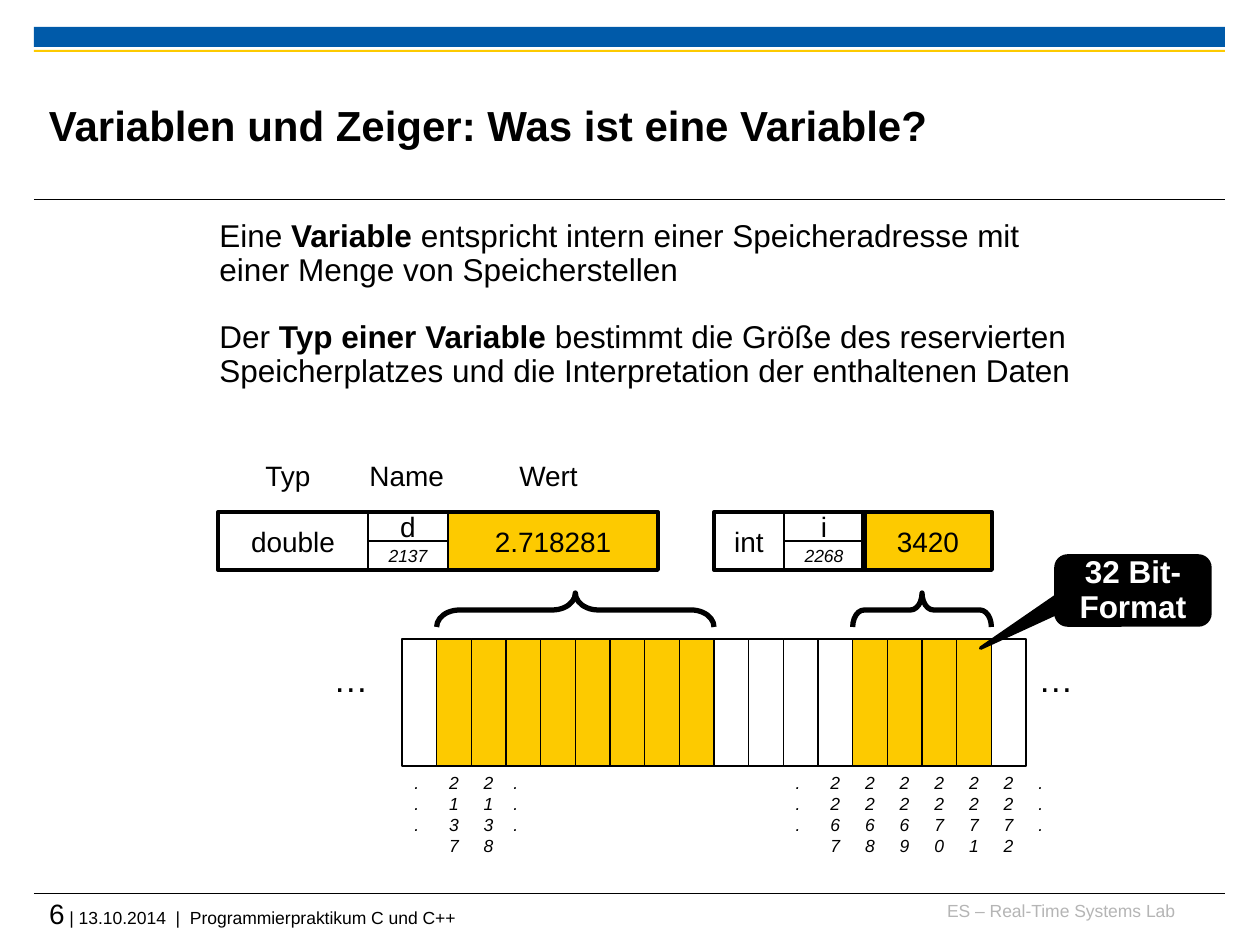
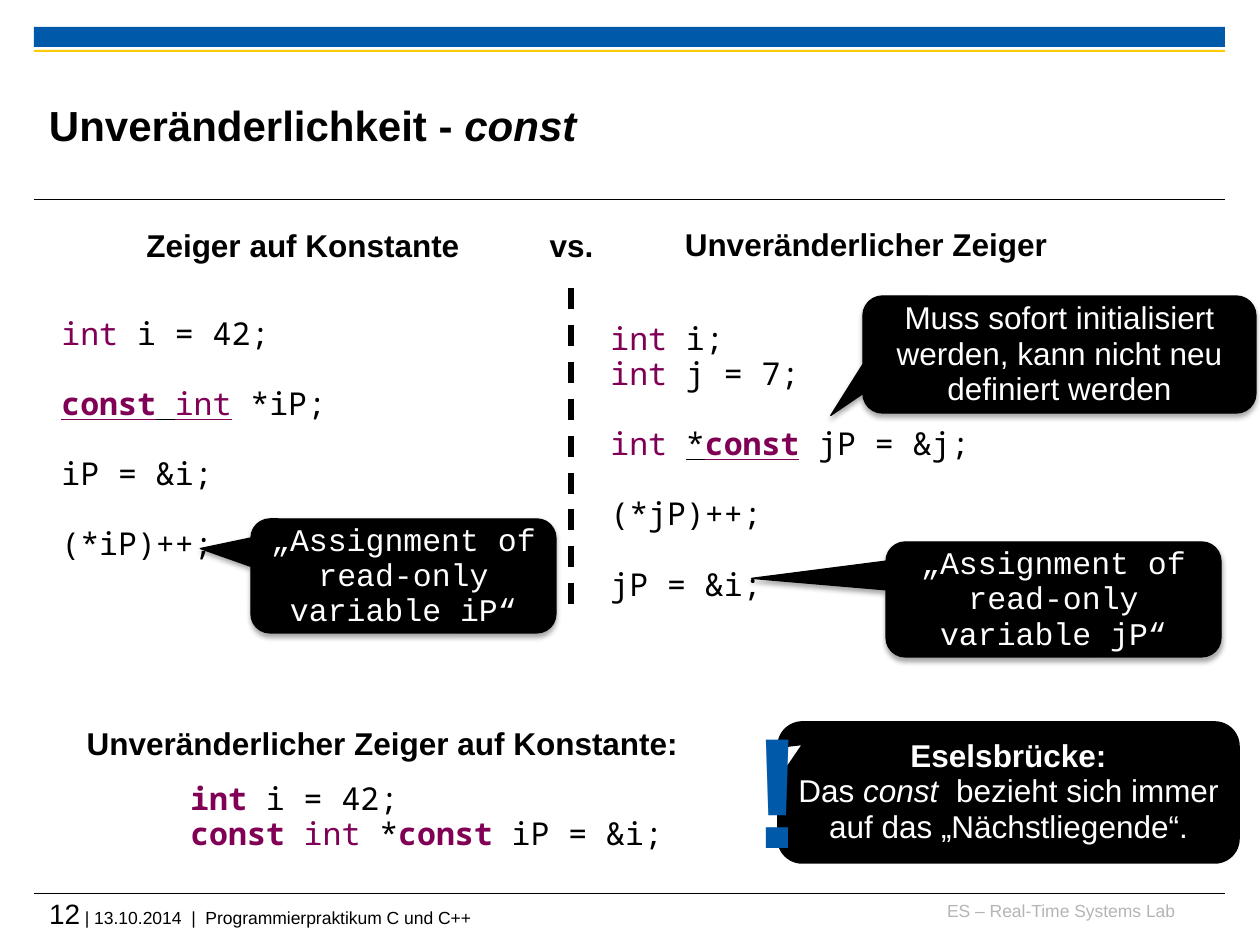
from dataclasses import dataclass

from lxml import etree
from pptx import Presentation
from pptx import util as u
from pptx.dml.color import RGBColor
from pptx.enum import dml, shapes, text
from pptx.oxml import ns


@dataclass(frozen=True)
class Theme:
    black: str = "000000"
    white: str = "FFFFFF"
    blue: str = "005AA9"
    yellow: str = "FDCA00"
    grey: str = "B5B5B5"
    keyword: str = "7F0055"
    sans: str = "Arial"
    code: str = "Noto Sans Mono"
    compiler: str = "Courier New"
    title: int = 24
    body: int = 18
    label: int = 16
    small: int = 10
    ellipsis: int = 20
    exclamation: int = 90
    hairline: float = 0.6
    thin: float = 0.75
    thick: int = 3
    tight: float = 0.93


T = Theme()
CENTER, RIGHT = text.PP_ALIGN.CENTER, text.PP_ALIGN.RIGHT
MIDDLE, TOP = text.MSO_ANCHOR.MIDDLE, text.MSO_ANCHOR.TOP
SHAPE = shapes.MSO_SHAPE
BOLD, ITALIC = {"bold": True}, {"italic": True}
KEY = {"color": T.keyword}
KEY_BOLD = KEY | BOLD
LINE = {"underline": True}


def px(value):
    return u.Emu(round(value * 914400 / 126))


# ---- Building parts ----

def write(shape, paragraphs, *, align=None, anchor=TOP, wrap=True, inset=None,
          spacing=None, gap=0, gap_before=(), **font):
    """Fill a shape; a paragraph is a string or a list of strings and (string, format)."""
    frame = shape.text_frame
    frame.word_wrap, frame.vertical_anchor = wrap, anchor
    if inset is not None:
        frame.margin_left = frame.margin_right = px(inset)
        frame.margin_top = frame.margin_bottom = px(inset)
    base = {"face": T.sans, "size": T.body, "color": T.black} | font
    for index, runs in enumerate(paragraphs):
        para = frame.paragraphs[0] if index == 0 else frame.add_paragraph()
        para.alignment = align
        if spacing:
            para.line_spacing = spacing
        if index in gap_before:
            para.space_before = u.Pt(gap)
        for part in [runs] if isinstance(runs, str) else runs:
            words, extra = (part, {}) if isinstance(part, str) else part
            style = base | extra
            run = para.add_run()
            run.text = words
            run.font.name, run.font.size = style["face"], u.Pt(style["size"])
            run.font.color.rgb = RGBColor.from_string(style["color"])
            run.font.bold = style.get("bold")
            run.font.italic = style.get("italic")
            run.font.underline = style.get("underline")


def label(slide, box, paragraphs, **fmt):
    write(slide.shapes.add_textbox(*map(px, box)), paragraphs, **fmt)


def block(slide, box, kind=SHAPE.RECTANGLE, fill=None, line=None, adjust=()):
    shape = slide.shapes.add_shape(kind, *map(px, box))
    shape.shadow.inherit = False
    if fill:
        shape.fill.solid()
        shape.fill.fore_color.rgb = RGBColor.from_string(fill)
    else:
        shape.fill.background()
    if line:
        shape.line.width = u.Pt(line)
        shape.line.color.rgb = RGBColor.from_string(T.black)
    else:
        shape.line.fill.background()
    for index, value in enumerate(adjust):
        shape.adjustments[index] = value
    return shape


def rule(slide, x1, y1, x2, y2, width, dash=None):
    line = slide.shapes.add_connector(shapes.MSO_CONNECTOR.STRAIGHT,
                                      *map(px, (x1, y1, x2, y2)))
    line.line.width = u.Pt(width)
    line.line.color.rgb = RGBColor.from_string(T.black)
    line.line.dash_style = dash
    etree.SubElement(line._element.spPr, ns.qn("a:effectLst"))


def callout(slide, box, tip, paragraphs, line=T.thin, shadow=False, **fmt):
    shape = block(slide, box, SHAPE.ROUNDED_RECTANGULAR_CALLOUT, T.black, line,
                  (*tip, 0.167))
    if shadow:
        effects = shape._element.spPr.find(ns.qn("a:effectLst"))
        outer = etree.SubElement(effects, ns.qn("a:outerShdw"), blurRad="39400",
                                 dist="22900", dir="5400000", rotWithShape="0")
        tone = etree.SubElement(outer, ns.qn("a:srgbClr"), val=T.black)
        etree.SubElement(tone, ns.qn("a:alpha"), val="35000")
    write(shape, paragraphs, align=CENTER, anchor=MIDDLE, spacing=T.tight,
          color=T.white, **fmt)


# ---- Shared slide frame ----

def lecture_slide(prs, number, title):
    slide = prs.slides.add_slide(prs.slide_layouts[6])
    left, width = 34, 1191
    block(slide, (left, 27, width, 20), fill=T.blue)
    block(slide, (left, 50, width, 2), fill=T.yellow)
    for y in (200, 894):
        rule(slide, left, y, left + width, y, T.hairline)
    label(slide, (49, 67, 948, 116), [title], anchor=MIDDLE, inset=0,
          size=T.title, bold=True)
    label(slide, (49, 897, 1176, 42),
          [[(str(number), {"size": T.label}),
            " | 13.10.2014  |  Programmierpraktikum C und C++"]],
          inset=0, size=T.small)
    label(slide, (927, 900, 248, 31), ["ES – Real-Time Systems Lab"],
          align=RIGHT, inset=0, size=T.small, color=T.grey)
    return slide


# ---- Slide: what a variable is ----

def variable_box(slide, box, widths, words, divider):
    """Type, name over address, and value inside one frame."""
    left, top, width, height = box
    type_w, name_w = widths
    name_x, value_x = left + type_w, left + type_w + name_w
    half = height / 2
    kind, name, address, value = words
    fields = [
        (kind, (left, top, type_w, height), T.white, {}),
        (name, (name_x, top, name_w, half), T.white, {}),
        (address, (name_x, top + half, name_w, half), T.white,
         {"size": T.small, "italic": True}),
        (value, (value_x, top, left + width - value_x, height), T.yellow, {}),
    ]
    for content, place, fill, fmt in fields:
        field = block(slide, place, fill=fill, line=T.thin)
        write(field, [content], align=CENTER, anchor=MIDDLE, wrap=False,
              **({"size": T.label} | fmt))
    rule(slide, value_x, top, value_x, top + height, divider)
    block(slide, box, line=2.25)


def memory_strip(slide, box):
    """Row of memory cells with braces above and addresses below."""
    left, top, width, height = box
    count = 18
    pitch = width / count
    stored = {"double": range(1, 9), "int": range(13, 17)}
    used = {cell for cells in stored.values() for cell in cells}
    for cell in range(count):
        block(slide, (left + cell * pitch, top, pitch, height),
              fill=T.yellow if cell in used else T.white, line=T.thin)

    # A left brace turned by 90 degrees spans each variable
    depth = 34
    for cells, bend in zip(stored.values(), (0.673, 0.337)):
        span = len(cells) * pitch
        middle = left + cells.start * pitch + span / 2
        brace = block(slide, (middle - depth / 2, top - 29 - span / 2, depth, span),
                      SHAPE.LEFT_BRACE, line=T.thick, adjust=(bend, 0.5))
        brace.rotation = 90

    # Addresses read downwards, one digit a line
    addresses = {1: "2137", 2: "2138"} | {cell: str(2255 + cell)
                                          for cell in range(12, 18)}
    for cell in range(count + 1):
        digits = addresses.get(cell, "..." if cell in (0, 3, 11, 18) else "")
        if digits:
            nudge = -5 if cell == 3 else 0
            box_width = 30 if digits == "..." else 35
            label(slide, (left + cell * pitch + nudge, top + height, box_width, 97),
                  list(digits), wrap=False, size=T.small, italic=True)

    for x in (left - 81, left + width):
        label(slide, (x, top + 12, 71, 64), ["…"], size=T.ellipsis)


def variable_slide(prs):
    slide = lecture_slide(prs, 6, "Variablen und Zeiger: Was ist eine Variable?")
    label(slide, (207, 214, 900, 219), [
        ["Eine", (" Variable ", BOLD),
         "entspricht intern einer Speicheradresse mit einer Menge von Speicherstellen"],
        ["Der ", ("Typ einer Variable ", BOLD),
         "bestimmt die Größe des reservierten Speicherplatzes und die "
         "Interpretation der enthaltenen Daten"],
    ], spacing=0.9, gap=19, gap_before=(1,))

    for heading, x, width in (("Typ", 253, 83), ("Name", 357, 117), ("Wert", 507, 98)):
        label(slide, (x, 452, width, 54), [heading], wrap=False, size=T.label)
    variable_box(slide, (218, 512, 440, 58), (150, 80),
                 ("double", "d", "2137", "2.718281"), divider=1)
    variable_box(slide, (714, 512, 278, 58), (70, 80),
                 ("int", "i", "2268", "3420"), divider=T.thick)
    memory_strip(slide, (402, 639, 624, 127))
    callout(slide, (1056, 556, 154, 69), (-0.99, 0.836), ["32 Bit-Format"],
            line=2, bold=True)


# ---- Slide: const ----

def code(slide, box, lines, gap_before=()):
    label(slide, box, lines, face=T.code, spacing=T.tight, gap=20,
          gap_before=gap_before)


def const_slide(prs):
    slide = lecture_slide(prs, 12, ["Unveränderlichkeit - ", ("const", ITALIC)])

    # Code of both kinds of pointer
    code(slide, (49, 311, 912, 261), [
        [("int", KEY), " i = 42;"],
        [("const", KEY_BOLD | LINE), (" ", LINE), ("int", KEY | LINE), " *iP;"],
        "iP = &i;",
        "(*iP)++;",
    ], gap_before=(1, 2, 3))
    code(slide, (598, 316, 630, 296), [
        [("int ", KEY), "i;"],
        [("int ", KEY), "j = 7;"],
        [("int ", KEY), ("*", LINE), ("const", KEY_BOLD | LINE), " jP = &j;"],
        "(*jP)++;",
        "jP = &i;",
    ], gap_before=(2, 3, 4))
    rule(slide, 571, 604, 571, 286, T.thick, dml.MSO_LINE.DASH)

    # Remarks on the code
    callout(slide, (863, 296, 393, 117), (-0.582, 0.521),
            ["Muss sofort initialisiert werden, kann nicht neu definiert werden"],
            shadow=True)
    for pointer, box, tip in (("iP", (251, 519, 305, 114), (-0.666, -0.24)),
                              ("jP", (886, 542, 335, 115), (-0.901, -0.183))):
        callout(slide, box, tip, [f"„Assignment of read-only variable {pointer}“"],
                shadow=True, face=T.compiler)

    # Headings
    for heading, box in (
            ("Zeiger auf Konstante", (97, 223, 412, 48)),
            ("vs.", (533, 223, 77, 48)),
            ("Unveränderlicher Zeiger", (660, 222, 412, 48)),
            ("Unveränderlicher Zeiger auf Konstante:", (53, 721, 659, 48))):
        label(slide, box, [heading], align=CENTER, spacing=T.tight, bold=True)

    # Both at once, with the rule to remember
    code(slide, (178, 776, 630, 83), [
        [("int ", KEY_BOLD), "i = 42;"],
        [("const ", KEY_BOLD), ("int", KEY), " *", ("const ", KEY_BOLD), "iP = &i;"],
    ])
    callout(slide, (779, 723, 459, 139), (-0.444, -0.355), [
        [("Eselsbrücke:", BOLD)],
        ["Das ", ("const ", ITALIC), " bezieht sich immer auf das „Nächstliegende“."],
    ], line=2)
    label(slide, (739, 702, 78, 190), ["!"], wrap=False, spacing=T.tight,
          size=T.exclamation, color=T.blue, bold=True)


def main():
    prs = Presentation()
    prs.slide_width, prs.slide_height = px(1260), px(945)
    variable_slide(prs)
    const_slide(prs)
    prs.save("out.pptx")


if __name__ == "__main__":
    main()
